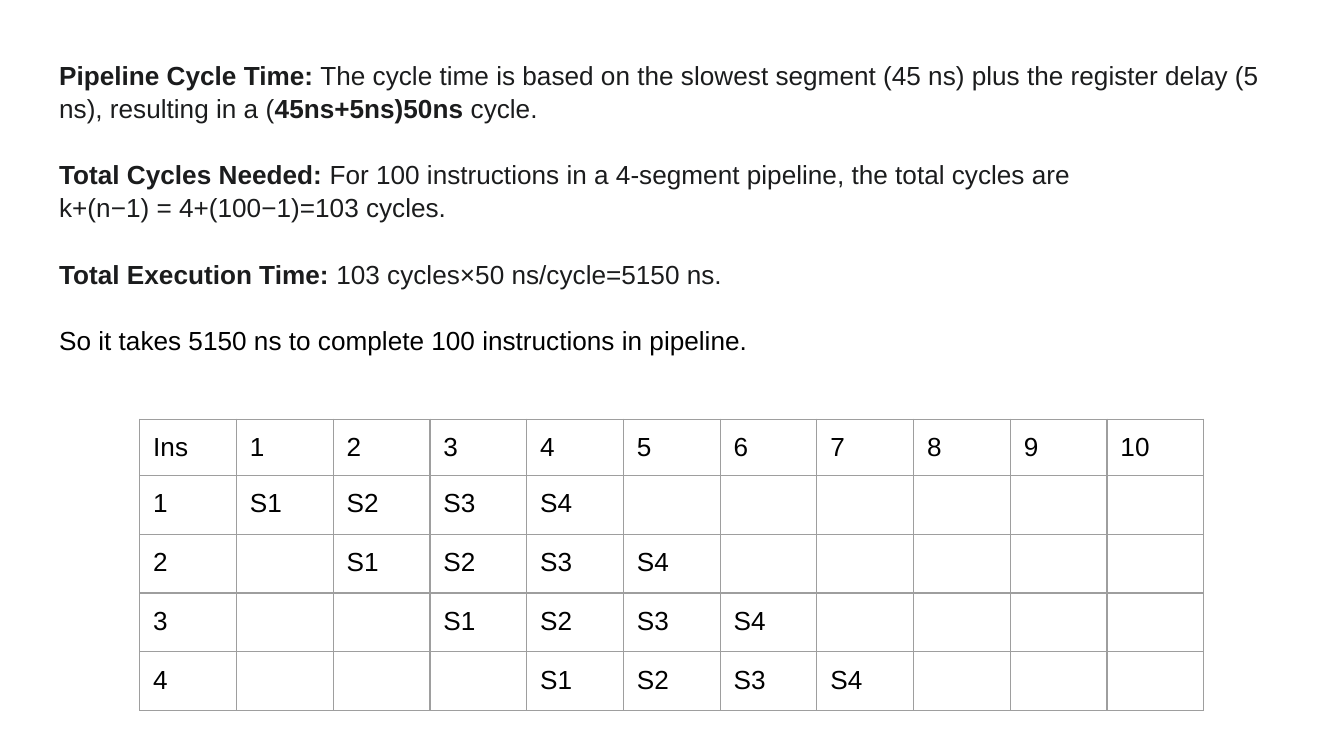
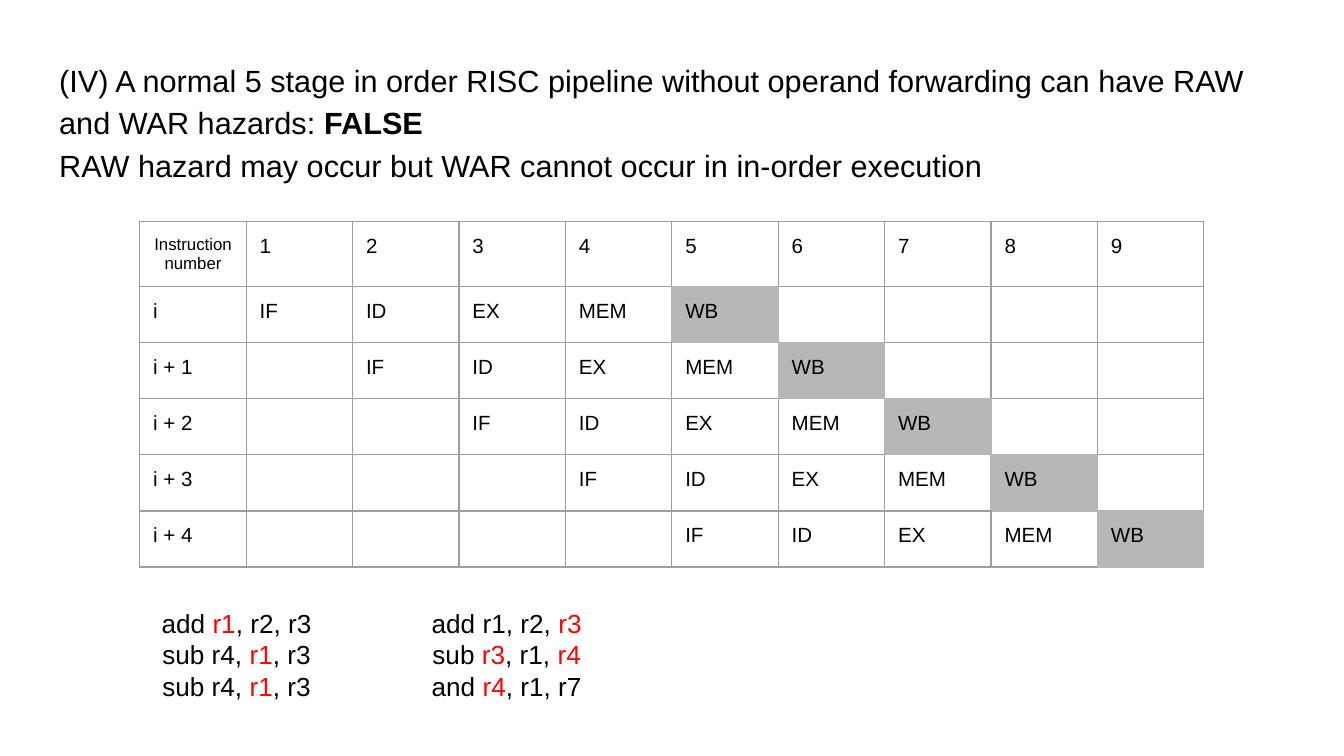
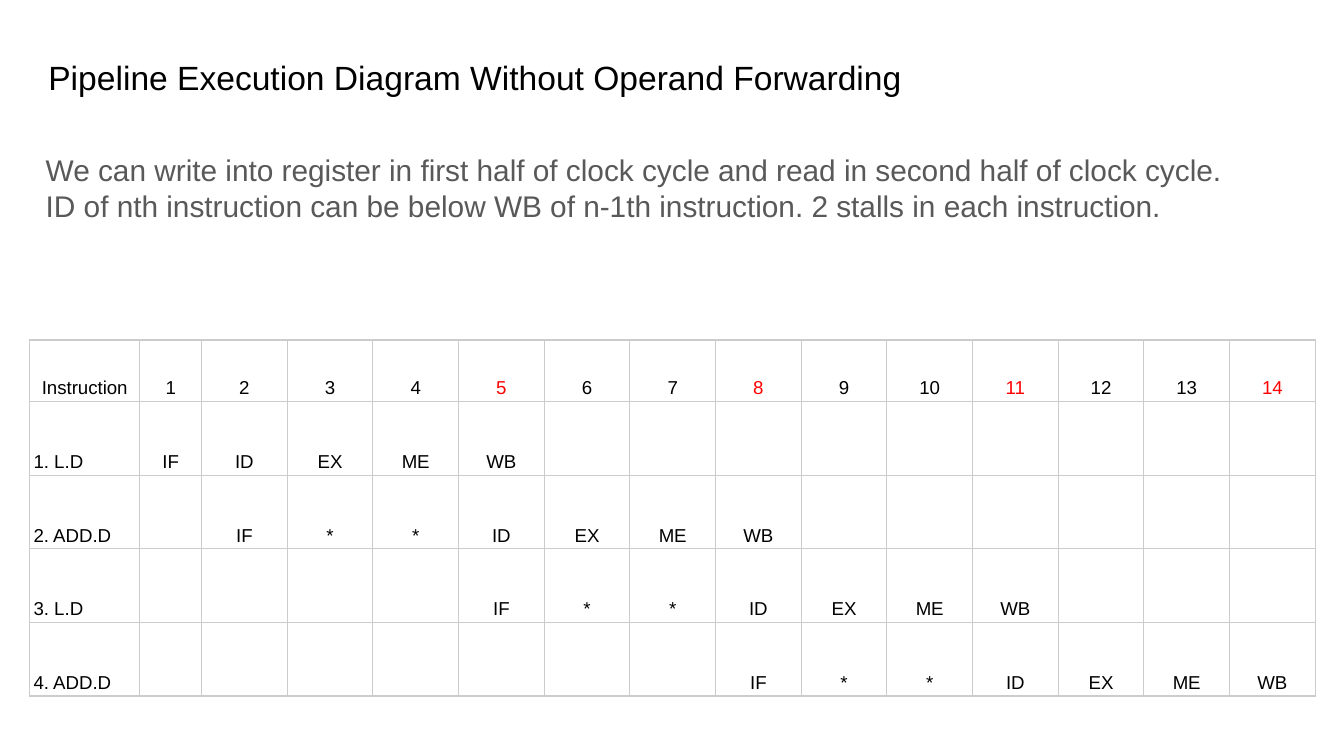
from dataclasses import dataclass, field
from typing import NamedTuple

from lxml.etree import SubElement as Sub
from pptx import Presentation
from pptx.dml.color import RGBColor as Rgb
from pptx.enum.text import MSO_ANCHOR as Anchor, MSO_AUTO_SIZE as Fit, PP_ALIGN as Align
from pptx.oxml.ns import qn
from pptx.util import Emu, Inches, Pt


# Theme: colours, type sizes and insets
@dataclass(frozen=True)
class Theme:
    font: str = "Arial"
    black: str = "000000"
    ink: str = "1B1C1D"
    gray: str = "595959"
    red: str = "FF0000"
    rule: str = "9E9E9E"
    pale: str = "CCCCCC"
    shade: str = "B7B7B7"
    title: float = 18
    claim: float = 16.4
    lead: float = 16
    text: float = 14
    stage: float = 11
    small: float = 10
    tiny: float = 9
    edge: float = 0.75
    pad: float = 0.1


T = Theme()

# Slide grid: 100 columns by 56.25 rows of square units
WIDE = Inches(10)
UNIT = WIDE // 100
HIGH = Emu(int(UNIT * 56.25))


class Box(NamedTuple):
    left: float
    top: float
    wide: float
    high: float

    def place(self) -> list[Emu]:
        return [Emu(round(n * UNIT)) for n in self]


@dataclass(frozen=True)
class Style:
    size: float
    color: str = T.black
    mark: str = ""          # colour of marked words; bold when empty
    align: Align = Align.LEFT
    lead: float = 1.0


class Line(NamedTuple):
    text: str               # words between bars are marked
    before: float = 0
    after: float = 0
    color: str = ""


class Row(NamedTuple):
    label: str
    start: int              # clock cycle of the first stage
    stages: str


@dataclass(frozen=True)
class Chart:
    box: Box
    head: str
    cycles: int
    rows: list[Row]
    high: float             # height of a body row
    style: Style
    label: Style
    corner: Style
    rule: str = T.rule
    firsts: list[float] = field(default_factory=list)   # widths of leading columns
    pads: tuple[float, float] = (T.pad, T.pad)
    anchor: Anchor = Anchor.TOP
    hot: tuple[int, ...] = ()
    filled: str = ""        # stage that gets a shaded cell


# Text
def add_run(para, text: str, size: float, color: str, bold: bool) -> None:
    for i, part in enumerate(text.split("\n")):
        if i:
            para.add_line_break()
            Sub(para._p.findall(qn("a:br"))[-1], qn("a:rPr"), sz=str(round(size * 100)))
        if part:
            run = para.add_run()
            run.text = part
            run.font.name, run.font.size, run.font.bold = T.font, Pt(size), bold
            run.font.color.rgb = Rgb.from_string(color)


def write(frame, lines: list[Line], style: Style) -> None:
    for i, line in enumerate(lines):
        para = frame.add_paragraph() if i else frame.paragraphs[0]
        para.alignment, para.line_spacing = style.align, style.lead
        para.space_before, para.space_after = Pt(line.before), Pt(line.after)
        base = line.color or style.color
        for j, part in enumerate(line.text.split("|")):
            odd = j % 2 == 1
            add_run(para, part, style.size, style.mark if odd and style.mark else base,
                    odd and not style.mark)


def fill_box(shape, box: Box, lines: list[Line], style: Style, fit: Fit = Fit.NONE) -> None:
    shape.left, shape.top, shape.width, shape.height = box.place()
    frame = shape.text_frame
    frame.word_wrap, frame.auto_size, frame.vertical_anchor = True, fit, Anchor.TOP
    frame.margin_left = frame.margin_right = Inches(T.pad)
    frame.margin_top = frame.margin_bottom = Inches(T.pad)
    write(frame, lines, style)


def fill_body(shape, box: Box, lines: list[Line], style: Style) -> None:
    fill_box(shape, box, lines, style)
    for para in shape.text_frame.paragraphs:
        props = para._p.get_or_add_pPr()
        props.set("marL", "0")
        props.set("indent", "0")
        Sub(props, qn("a:buNone"))


# Pipeline tables
def draw_edges(cell, colors: list[str]) -> None:
    props = cell._tc.get_or_add_tcPr()
    for side, color in zip("LRTB", colors):
        line = Sub(props, qn(f"a:ln{side}"), w=str(Pt(T.edge)))
        Sub(Sub(line, qn("a:solidFill")), qn("a:srgbClr"), val=color)


def draw_chart(slide, chart: Chart) -> None:
    count = chart.cycles + 1
    table = slide.shapes.add_table(len(chart.rows) + 1, count, *chart.box.place()).table
    table.first_row = table.horz_banding = False

    # Column widths and row heights
    rest = (chart.box.wide - sum(chart.firsts)) / (count - len(chart.firsts))
    for i, col in enumerate(table.columns):
        col.width = Emu(round((chart.firsts[i] if i < len(chart.firsts) else rest) * UNIT))
    for i, row in enumerate(table.rows):
        tall = chart.high if i else chart.box.high - chart.high * len(chart.rows)
        row.height = Emu(round(tall * UNIT))

    # Words by row and column
    words = {(0, n): str(n) for n in range(1, count)} | {(0, 0): chart.head}
    for i, row in enumerate(chart.rows, 1):
        words[i, 0] = row.label
        words |= {(i, row.start + k): s for k, s in enumerate(row.stages.split())}
    dark = {spot for spot, word in words.items() if word == chart.filled}

    for r in range(len(chart.rows) + 1):
        for c in range(count):
            cell = table.cell(r, c)
            near = [(r, c - 1), (r, c + 1), (r - 1, c), (r + 1, c)]
            draw_edges(cell, [T.shade if dark & {(r, c), spot} else chart.rule for spot in near])
            if (r, c) in dark:
                cell.fill.solid()
                cell.fill.fore_color.rgb = Rgb.from_string(T.shade)
            else:
                cell.fill.background()
            cell.margin_left = cell.margin_right = Inches(chart.pads[0])
            cell.margin_top = cell.margin_bottom = Inches(chart.pads[1])
            cell.vertical_anchor = chart.anchor
            style = chart.style if c else chart.label if r else chart.corner
            if (r, c) in words:
                color = T.red if r == 0 and c in chart.hot else ""
                write(cell.text_frame, [Line(words[r, c], color=color)], style)
            else:
                Sub(cell.text_frame.paragraphs[0]._p, qn("a:endParaRPr"),
                    sz=str(round(style.size * 100)))


# Slides
def show_time(deck) -> None:
    slide = deck.slides.add_slide(deck.slide_layouts[1])
    title = slide.shapes.title
    title.element.getparent().remove(title.element)
    fill_body(slide.placeholders[1], Box(3.4, 3.3, 93.2, 26.5), [
        Line("|Pipeline Cycle Time:| The cycle time is based on the slowest segment (45 ns) "
             "plus the register delay (5 ns), resulting in a (|45ns+5ns)50ns| cycle."),
        Line("|Total Cycles Needed:| For 100 instructions in a 4-segment pipeline, "
             "the total cycles are \nk+(n−1) = 4+(100−1)=103 cycles.", 18),
        Line("|Total Execution Time:| 103 cycles×50 ns/cycle=5150 ns.", 18),
        Line("So it takes 5150 ns to complete 100 instructions in pipeline.", 18, 12, T.black),
    ], Style(T.text, T.ink, lead=1.05))
    style = Style(T.text)
    rows = [Row(str(n), n, "S1 S2 S3 S4") for n in range(1, 5)]
    draw_chart(slide, Chart(Box(10.4, 31.2, 79.2, 20.9), "Ins", 10, rows, 4.18,
                            style, style, style))


def show_hazard(deck) -> None:
    slide = deck.slides.add_slide(deck.slide_layouts[5])
    fill_box(slide.shapes.title, Box(3.4, 3.2, 93.2, 11.6), [
        Line("(IV) A normal 5 stage in order RISC pipeline without operand forwarding can have "
             "RAW and WAR hazards: |FALSE|\n"
             "RAW hazard may occur but WAR cannot occur in in-order execution", after=12),
    ], Style(T.claim, lead=1.15))
    style = Style(T.stage)
    rows = [Row(f"i + {n}" if n else "i", n + 1, "IF ID EX MEM WB") for n in range(5)]
    draw_chart(slide, Chart(Box(10.4, 16.5, 79.2, 25.7), "Instruction number", 9, rows, 4.18,
                            style, style, Style(T.tiny, align=Align.CENTER), filled="WB"))

    # Code samples with the clashing registers marked
    samples = [
        ["add |r1|, r2, r3", "sub r4, |r1|, r3", "sub r4, |r1|, r3"],
        ["add r1, r2, |r3|", "sub |r3|, r1, |r4|", "and |r4|, r1, r7"],
    ]
    code = Style(T.text, mark=T.red, align=Align.CENTER)
    for i, sample in enumerate(samples):
        box = Box(10.5 + 20.1 * i, 44.2, 14.2, 9.1)
        fill_box(slide.shapes.add_textbox(*box.place()), box,
                 [Line(text) for text in sample], code, Fit.SHAPE_TO_FIT_TEXT)


def show_stalls(deck) -> None:
    slide = deck.slides.add_slide(deck.slide_layouts[1])
    fill_box(slide.shapes.title, Box(2.6, 3.2, 67.5, 4.4),
             [Line("Pipeline Execution Diagram Without Operand Forwarding")], Style(T.title))
    fill_body(slide.placeholders[1], Box(2.4, 10.3, 95.2, 7.4), [
        Line("We can write into register in first half of clock cycle "
             "and read in second half of clock cycle."),
        Line("ID of nth instruction can be below WB of n-1th instruction. "
             "2 stalls in each instruction."),
    ], Style(T.lead, T.gray))
    style = Style(T.small, align=Align.CENTER, lead=1.15)
    stall = "IF * * ID EX ME WB"
    rows = [Row("1. L.D", 1, "IF ID EX ME WB"), Row("2. ADD.D", 2, stall),
            Row("3. L.D", 5, stall), Row("4. ADD.D", 8, stall)]
    draw_chart(slide, Chart(Box(2.2, 25.3, 95.7, 26.5), "Instruction", 14, rows, 5.48,
                            style, Style(T.small, lead=1.15), style, T.pale, [8.2, 4.6],
                            (0.03, 0.02), Anchor.BOTTOM, (5, 8, 11, 14)))


def main() -> None:
    deck = Presentation()
    deck.slide_width, deck.slide_height = WIDE, HIGH
    for show in (show_time, show_hazard, show_stalls):
        show(deck)
    deck.save("out.pptx")


if __name__ == "__main__":
    main()
